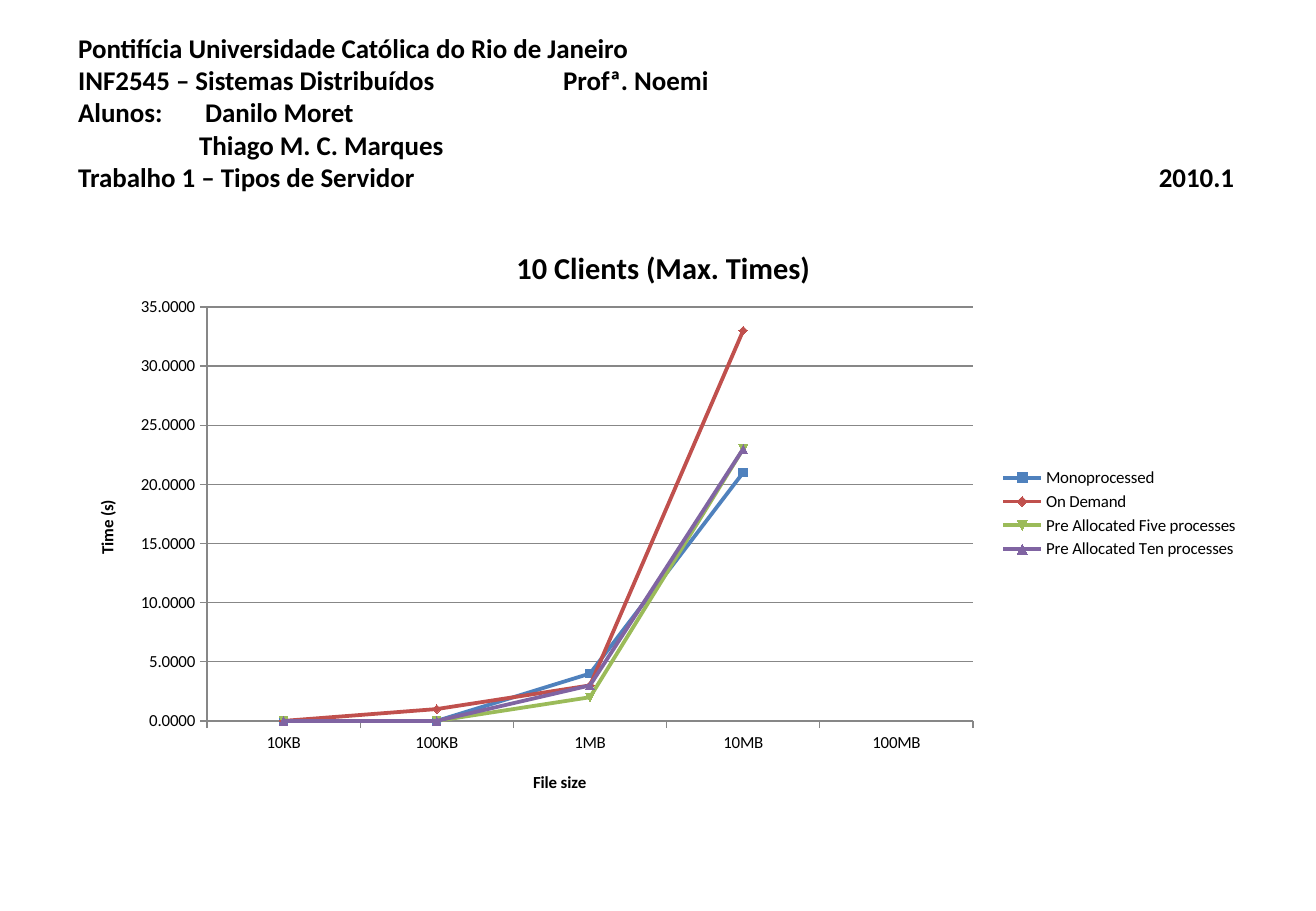
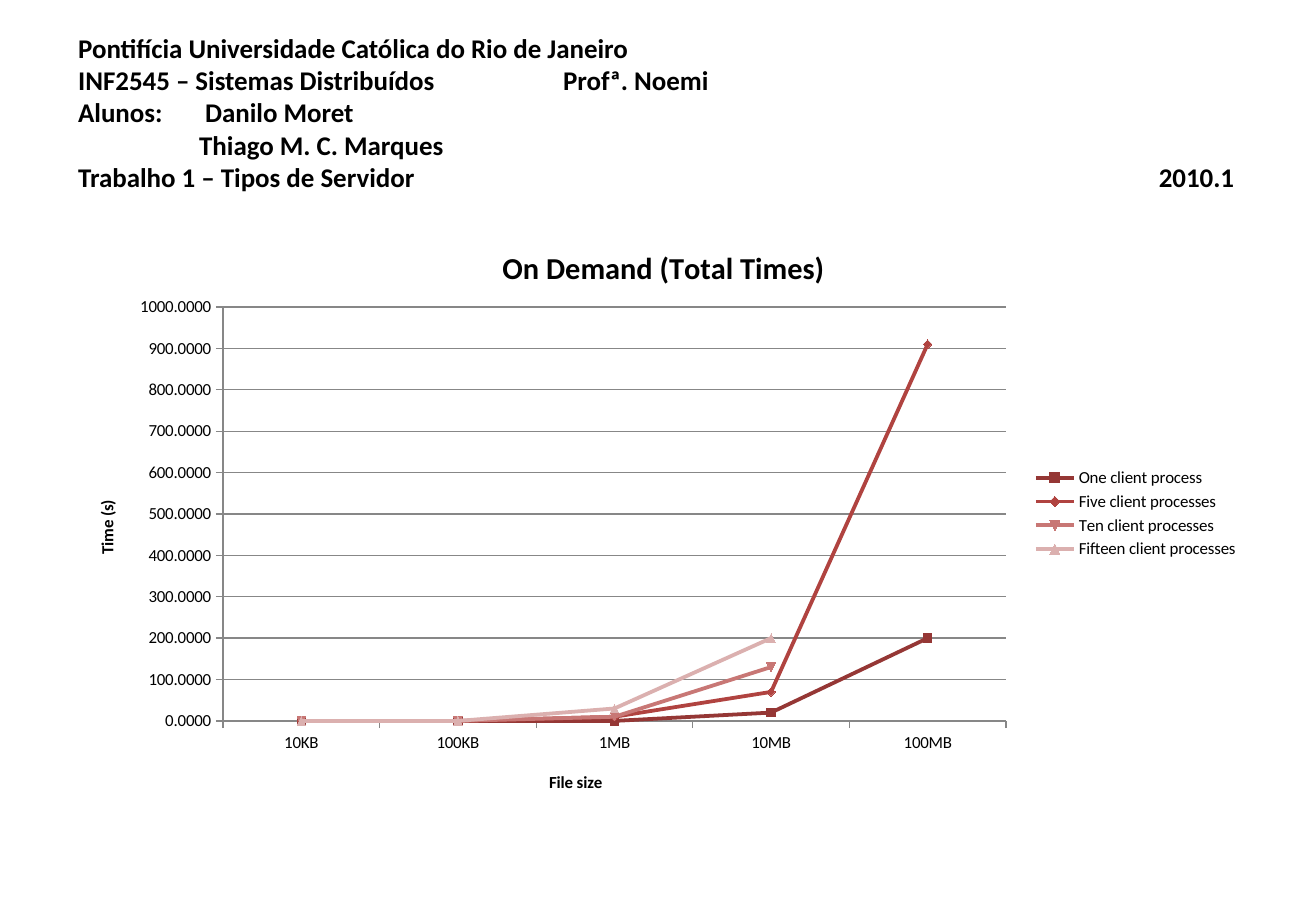
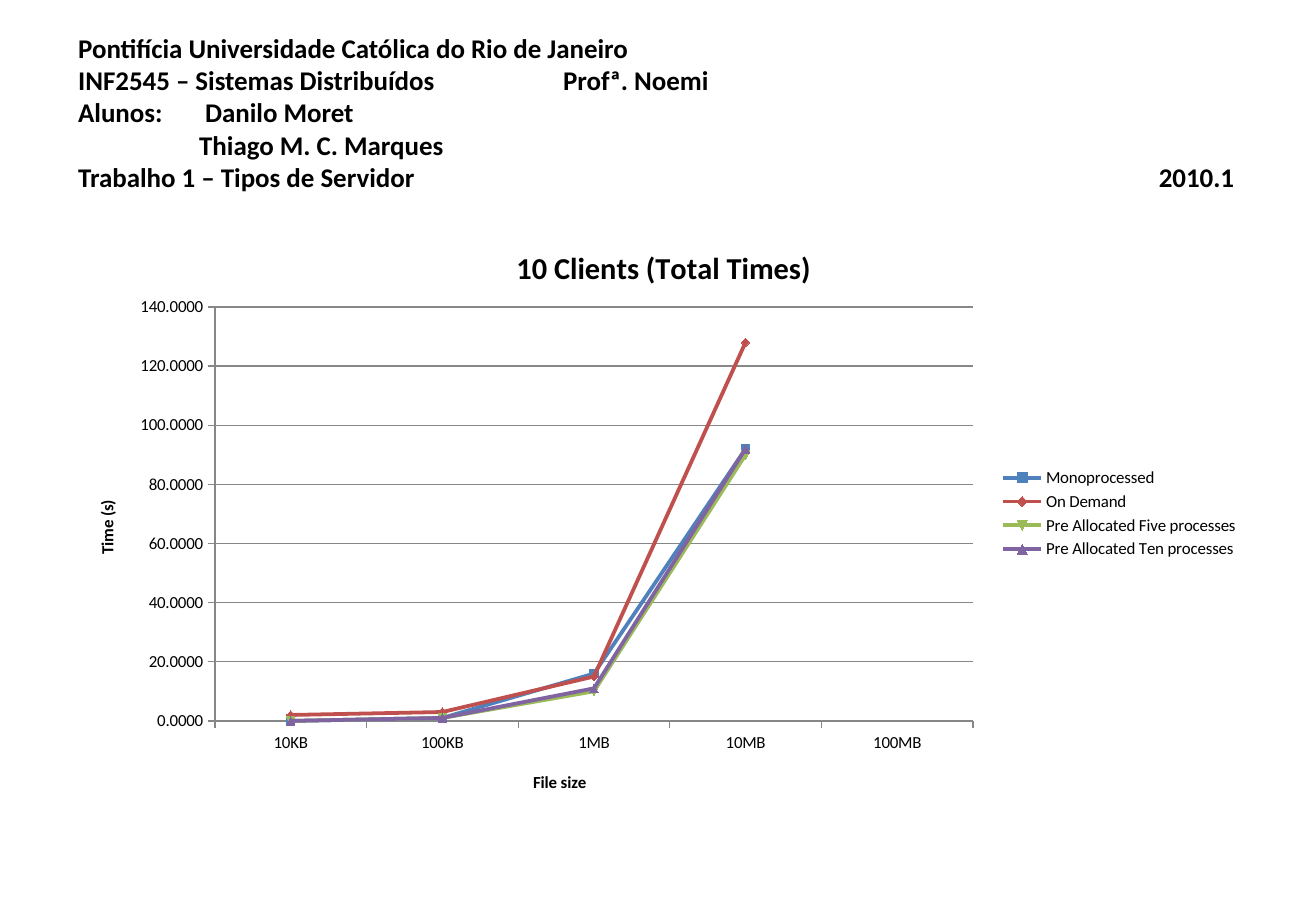
from dataclasses import dataclass

from lxml import etree
from pptx import Presentation
from pptx.chart.data import CategoryChartData
from pptx.dml.color import RGBColor
from pptx.enum.chart import XL_CHART_TYPE, XL_LEGEND_POSITION, XL_TICK_MARK
from pptx.enum.text import MSO_ANCHOR, MSO_AUTO_SIZE, PP_ALIGN
from pptx.oxml.ns import qn
from pptx.util import Emu, Pt

LINE_MARKERS = XL_CHART_TYPE.LINE_MARKERS
LEGEND_RIGHT = XL_LEGEND_POSITION.RIGHT
TICK_OUTSIDE = XL_TICK_MARK.OUTSIDE
ANCHOR_MIDDLE = MSO_ANCHOR.MIDDLE
NO_AUTOFIT = MSO_AUTO_SIZE.NONE
ALIGN_LEFT = PP_ALIGN.LEFT

EMU_PER_PX = 914400 / 121.5
TITLE_ONLY = 5


# Shared style
@dataclass(frozen=True)
class Theme:
    font: str = "Calibri"
    ink: str = "000000"
    grid: str = "878787"
    server_colors: tuple = ("4F81BD", "C0504D", "9BBB59", "8064A2")
    client_colors: tuple = ("953735", "B04340", "C87775", "DBB0AF")
    heading_size: int = 16
    chart_title_size: int = 18
    chart_size: int = 10
    series_width: float = 2.25
    grid_width: float = 0.75


# Slide geometry in px: left, top, width, height
PAGE = (1316, 911)
HEADING_BOX = (66, 36, 1185, 152)
CHART_BOX = (66, 213, 1185, 601)
PLOT_TOP, PLOT_BOTTOM = 307, 721
CHART_TITLE_TOP = 241
TIME_TITLE_AT = (93, 497)
SIZE_TITLE_TOP = 768

# Heading lines, each with its tab stops (px from the text edge, alignment)
HEADING = [
    ("Pontifícia Universidade Católica do Rio de Janeiro", []),
    ("INF2545 – Sistemas Distribuídos\tProfª. Noemi", [(485, "l")]),
    ("Alunos:\tDanilo Moret", [(127, "l")]),
    ("\tThiago M. C. Marques", [(121, "l")]),
    ("Trabalho 1 – Tipos de Servidor\t2010.1", [(1156, "r")]),
]

FILE_SIZES = ["10KB", "100KB", "1MB", "10MB", "100MB"]
SERVERS = ["Monoprocessed", "On Demand",
           "Pre Allocated Five processes", "Pre Allocated Ten processes"]
CLIENTS = ["One client process", "Five client processes",
           "Ten client processes", "Fifteen client processes"]


def px(length):
    return Emu(round(length * EMU_PER_PX))


def color(code):
    return RGBColor.from_string(code)


class Deck:
    def __init__(self, theme):
        self.theme = theme
        self.prs = Presentation()
        self.prs.slide_width, self.prs.slide_height = map(px, PAGE)
        self.slide = None

    def new_slide(self):
        layout = self.prs.slide_layouts[TITLE_ONLY]
        self.slide = self.prs.slides.add_slide(layout)

    def style(self, font, size, bold):
        font.name = self.theme.font
        font.size = Pt(size)
        font.bold = bold
        font.color.rgb = color(self.theme.ink)

    def heading(self, lines):
        title = self.slide.shapes.title
        title.left, title.top, title.width, title.height = map(px, HEADING_BOX)
        frame = title.text_frame
        frame.word_wrap = True
        frame.auto_size = NO_AUTOFIT
        frame.vertical_anchor = ANCHOR_MIDDLE
        for index, (text, stops) in enumerate(lines):
            line = frame.add_paragraph() if index else frame.paragraphs[0]
            line.alignment = ALIGN_LEFT
            if stops:
                tabs = etree.SubElement(line._p.get_or_add_pPr(), qn("a:tabLst"))
                for position, side in stops:
                    etree.SubElement(tabs, qn("a:tab"),
                                     pos=str(px(position)), algn=side)
            run = line.add_run()
            run.text = text
            self.style(run.font, self.theme.heading_size, True)

    def place(self, part, left, top, size=None):
        """Fix a chart part at a px position on the slide."""
        x0, y0, width, height = CHART_BOX
        fractions = {"x": (left - x0) / width, "y": (top - y0) / height}
        modes = {"xMode": "edge", "yMode": "edge"}
        if size:
            modes = {"layoutTarget": "inner", **modes}
            fractions.update(w=size[0] / width, h=size[1] / height)
        for old in part.findall(qn("c:layout")):
            part.remove(old)
        layout = etree.Element(qn("c:layout"))
        manual = etree.SubElement(layout, qn("c:manualLayout"))
        for tag, value in {**modes, **fractions}.items():
            text = value if isinstance(value, str) else f"{value:.4f}"
            etree.SubElement(manual, qn(f"c:{tag}"), val=text)
        part.insert(0 if part.find(qn("c:tx")) is None else 1, layout)

    def chart_text(self, title, text, size, left, top):
        run = title.text_frame.paragraphs[0].add_run()
        run.text = text
        self.style(run.font, size, True)
        self.place(title._element, left, top)

    def axis(self, axis, title, left, top):
        axis.major_tick_mark = TICK_OUTSIDE
        self.rule(axis.format.line, self.theme.grid, self.theme.grid_width)
        self.chart_text(axis.axis_title, title, self.theme.chart_size, left, top)

    def rule(self, line, code, width):
        line.color.rgb = color(code)
        line.width = Pt(width)

    def line_chart(self, title, title_left, names, rows, colors, plot_x,
                   size_title_left, top_value, step):
        data = CategoryChartData(number_format="0.0000")
        data.categories = FILE_SIZES
        for name, values in zip(names, rows):
            data.add_series(name, values)
        chart = self.slide.shapes.add_chart(
            LINE_MARKERS, *map(px, CHART_BOX), data).chart
        self.style(chart.font, self.theme.chart_size, False)

        # Title and legend
        self.chart_text(chart.chart_title, title, self.theme.chart_title_size,
                        title_left, CHART_TITLE_TOP)
        chart.has_legend = True
        chart.legend.position = LEGEND_RIGHT
        chart.legend.include_in_layout = False

        # Axes
        time = chart.value_axis
        time.minimum_scale, time.maximum_scale = 0, top_value
        time.major_unit = step
        time.tick_labels.number_format = "0.0000"
        time.tick_labels.number_format_is_linked = False
        self.rule(time.major_gridlines.format.line,
                  self.theme.grid, self.theme.grid_width)
        self.axis(time, "Time (s)", *TIME_TITLE_AT)
        time.axis_title.text_frame._txBody.bodyPr.set("rot", "-5400000")
        self.axis(chart.category_axis, "File size",
                  size_title_left, SIZE_TITLE_TOP)

        # Plot area and series
        plot = chart.plots[0]
        plot.vary_by_categories = False
        left, right = plot_x
        self.place(plot._element.getparent(), left, PLOT_TOP,
                   (right - left, PLOT_BOTTOM - PLOT_TOP))
        for series, code in zip(plot.series, colors):
            series.smooth = False
            self.rule(series.format.line, code, self.theme.series_width)
            fill = series.marker.format.fill
            fill.solid()
            fill.fore_color.rgb = color(code)


def main():
    theme = Theme()
    deck = Deck(theme)
    charts = [
        dict(title="10 Clients (Max. Times)", title_left=511, names=SERVERS,
             rows=[(0, 0, 4, 21, None), (0, 1, 3, 33, None),
                   (0, 0, 2, 23, None), (0, 0, 3, 23, None)],
             colors=theme.server_colors, plot_x=(207, 973),
             size_title_left=530, top_value=35, step=5),
        dict(title="On Demand (Total Times)", title_left=497, names=CLIENTS,
             rows=[(0, 0, 0, 20, 200), (0, 0, 10, 70, 910),
                   (0, 0, 10, 130, None), (0, 0, 30, 200, None)],
             colors=theme.client_colors, plot_x=(223, 1006),
             size_title_left=546, top_value=1000, step=100),
        dict(title="10 Clients (Total Times)", title_left=511, names=SERVERS,
             rows=[(0, 1, 16, 92, None), (2, 3, 15, 128, None),
                   (0, 1, 10, 90, None), (0, 1, 11, 92, None)],
             colors=theme.server_colors, plot_x=(215, 973),
             size_title_left=530, top_value=140, step=20),
    ]
    for chart in charts:
        deck.new_slide()
        deck.heading(HEADING)
        deck.line_chart(**chart)
    deck.prs.save("out.pptx")


if __name__ == "__main__":
    main()
